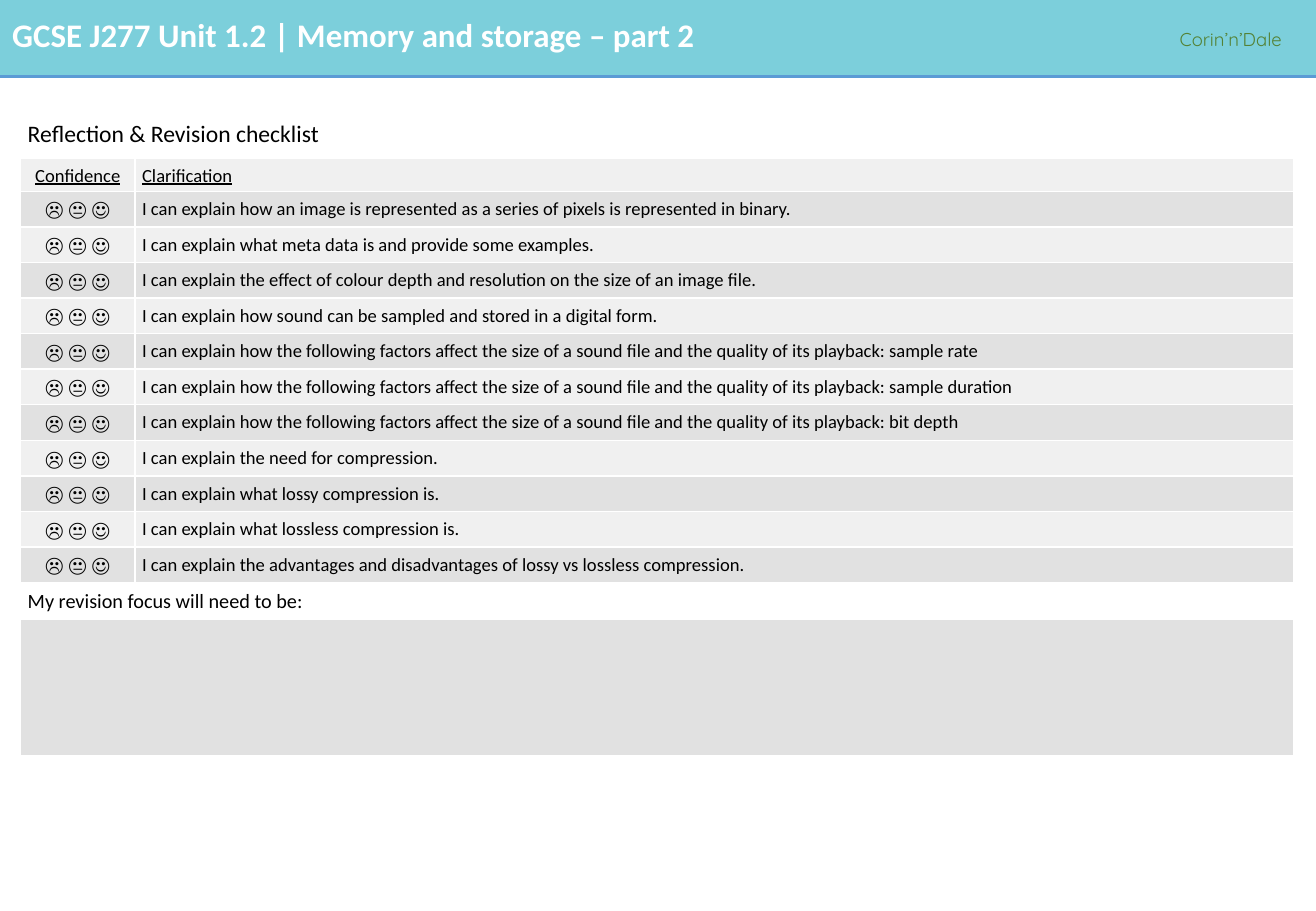
from dataclasses import dataclass

from lxml import etree
from pptx import Presentation
from pptx.dml.color import RGBColor
from pptx.enum.shapes import MSO_CONNECTOR, MSO_SHAPE
from pptx.enum.text import MSO_ANCHOR, MSO_AUTO_SIZE, PP_ALIGN
from pptx.oxml.ns import qn
from pptx.util import Cm, Pt

RECT = MSO_SHAPE.RECTANGLE
STRAIGHT = MSO_CONNECTOR.STRAIGHT
LEFT, CENTER = PP_ALIGN.LEFT, PP_ALIGN.CENTER
TOP, MIDDLE = MSO_ANCHOR.TOP, MSO_ANCHOR.MIDDLE
NO_FIT = MSO_AUTO_SIZE.NONE


@dataclass(frozen=True)
class Theme:
    band: str = "7CCFDB"
    rule: str = "5B9BD5"
    white: str = "FFFFFF"
    black: str = "000000"
    green: str = "548235"
    light: str = "F0F0F0"
    dark: str = "E1E1E1"
    font: str = "Calibri"
    brand_font: str = "Quicksand"
    title: float = 19.5
    heading: float = 14
    prompt: float = 12
    body: float = 11
    spacing: float = 1.07


@dataclass(frozen=True)
class CellStyle:
    size: float
    align: PP_ALIGN = LEFT
    anchor: MSO_ANCHOR = TOP
    underline: bool = False
    top: float = 0.1
    bottom: float = 0.1


@dataclass(frozen=True)
class Row:
    height: float
    fill: str
    texts: tuple[str, ...]
    styles: tuple[CellStyle, ...]


T = Theme()
SLIDE_W, SLIDE_H, BAND_H = 27.51, 19.05, 1.6
COLUMNS = (2.39, 24.23)
FACES = "☹ 😐 ☺"
FACTORS = ("I can explain how the following factors affect the size of a sound file "
           "and the quality of its playback: ")
STATEMENTS = (
    "I can explain how an image is represented as a series of pixels is represented in binary.",
    "I can explain what meta data is and provide some examples.",
    "I can explain the effect of colour depth and resolution on the size of an image file.",
    "I can explain how sound can be sampled and stored in a digital form.",
    FACTORS + "sample rate",
    FACTORS + "sample duration",
    FACTORS + "bit depth",
    "I can explain the need for compression.",
    "I can explain what lossy compression is.",
    "I can explain what lossless compression is.",
    "I can explain the advantages and disadvantages of lossy vs lossless compression.",
)

HEADING = CellStyle(T.heading, top=0.4, bottom=0.2)
HEADERS = (CellStyle(T.body, CENTER, underline=True), CellStyle(T.body, underline=True))
CHECK = (CellStyle(T.prompt, CENTER, MIDDLE), CellStyle(T.body))
PROMPT = CellStyle(T.prompt, anchor=MIDDLE)

# A row with a single text spans both columns
ROWS = (
    Row(1.24, T.white, ("Reflection & Revision checklist",), (HEADING,)),
    Row(0.69, T.light, ("Confidence", "Clarification"), HEADERS),
    *(Row(0.74, T.light if i % 2 else T.dark, (FACES, text), CHECK)
      for i, text in enumerate(STATEMENTS)),
    Row(0.77, T.white, ("My revision focus will need to be:",), (PROMPT,)),
    Row(2.84, T.dark, ("",), (PROMPT,)),
)


def rgb(color: str) -> RGBColor:
    return RGBColor.from_string(color)


def set_font(p, name: str, size: float, color: str, bold: bool = False,
             underline: bool = False) -> None:
    p.font.name, p.font.size = name, Pt(size)
    p.font.bold, p.font.underline = bold, underline
    p.font.color.rgb = rgb(color)


def set_borders(cell, color: str, width: float) -> None:
    tc_pr = cell._tc.get_or_add_tcPr()
    for side in ("a:lnL", "a:lnR", "a:lnT", "a:lnB"):
        ln = etree.SubElement(tc_pr, qn(side), w=str(Pt(width)))
        fill = etree.SubElement(ln, qn("a:solidFill"))
        etree.SubElement(fill, qn("a:srgbClr"), val=color)


def fill_cell(cell, text: str, style: CellStyle) -> None:
    cell.margin_left = cell.margin_right = Cm(0.15)
    cell.margin_top, cell.margin_bottom = Cm(style.top), Cm(style.bottom)
    cell.vertical_anchor = style.anchor
    p = cell.text_frame.paragraphs[0]
    p.text = text
    p.alignment, p.line_spacing = style.align, T.spacing
    set_font(p, T.font, style.size, T.black, underline=style.underline)


def add_header(s) -> None:
    # Band and rule
    band = s.shapes.add_shape(RECT, 0, 0, Cm(SLIDE_W), Cm(BAND_H))
    band.shadow.inherit = False
    band.fill.solid()
    band.fill.fore_color.rgb = rgb(T.band)
    band.line.fill.background()
    rule = s.shapes.add_connector(STRAIGHT, 0, Cm(BAND_H), Cm(SLIDE_W), Cm(BAND_H))
    rule.line.color.rgb, rule.line.width = rgb(T.rule), Pt(2.25)
    etree.SubElement(rule._element.spPr, qn("a:effectLst"))

    # Title, brought in front of the band
    title = s.shapes.title
    title.left, title.top, title.width, title.height = Cm(0), Cm(0.18), Cm(24.08), Cm(1.09)
    tf = title.text_frame
    tf.auto_size, tf.vertical_anchor = NO_FIT, TOP
    p = tf.paragraphs[0]
    p.text, p.alignment = "GCSE J277 Unit 1.2 | Memory and storage – part 2", LEFT
    set_font(p, T.font, T.title, T.white, bold=True)
    s.shapes._spTree.append(title._element)

    # Publisher name
    tf = s.shapes.add_textbox(Cm(24.41), Cm(0.43), Cm(3.1), Cm(0.74)).text_frame
    tf.word_wrap = False
    p = tf.paragraphs[0]
    p.text, p.line_spacing, p.space_after = "Corin’n’Dale", T.spacing, Pt(8)
    set_font(p, T.brand_font, T.body, T.green)


def add_checklist(s) -> None:
    height = sum(row.height for row in ROWS)
    table = s.shapes.add_table(len(ROWS), len(COLUMNS), Cm(0.43), Cm(2.06),
                               Cm(sum(COLUMNS)), Cm(height)).table
    table.first_row = table.horz_banding = False
    for column, width in zip(table.columns, COLUMNS):
        column.width = Cm(width)
    for i, row in enumerate(ROWS):
        table.rows[i].height = Cm(row.height)
        cells = [table.cell(i, j) for j in range(len(COLUMNS))]
        for cell in cells:
            set_borders(cell, T.white, 1)
            cell.fill.solid()
            cell.fill.fore_color.rgb = rgb(row.fill)
        if len(row.texts) == 1:
            cells[0].merge(cells[-1])
        for cell, text, style in zip(cells, row.texts, row.styles):
            fill_cell(cell, text, style)


prs = Presentation()
prs.slide_width, prs.slide_height = Cm(SLIDE_W), Cm(SLIDE_H)
s = prs.slides.add_slide(prs.slide_layouts[5])
add_header(s)
add_checklist(s)
prs.save("out.pptx")
